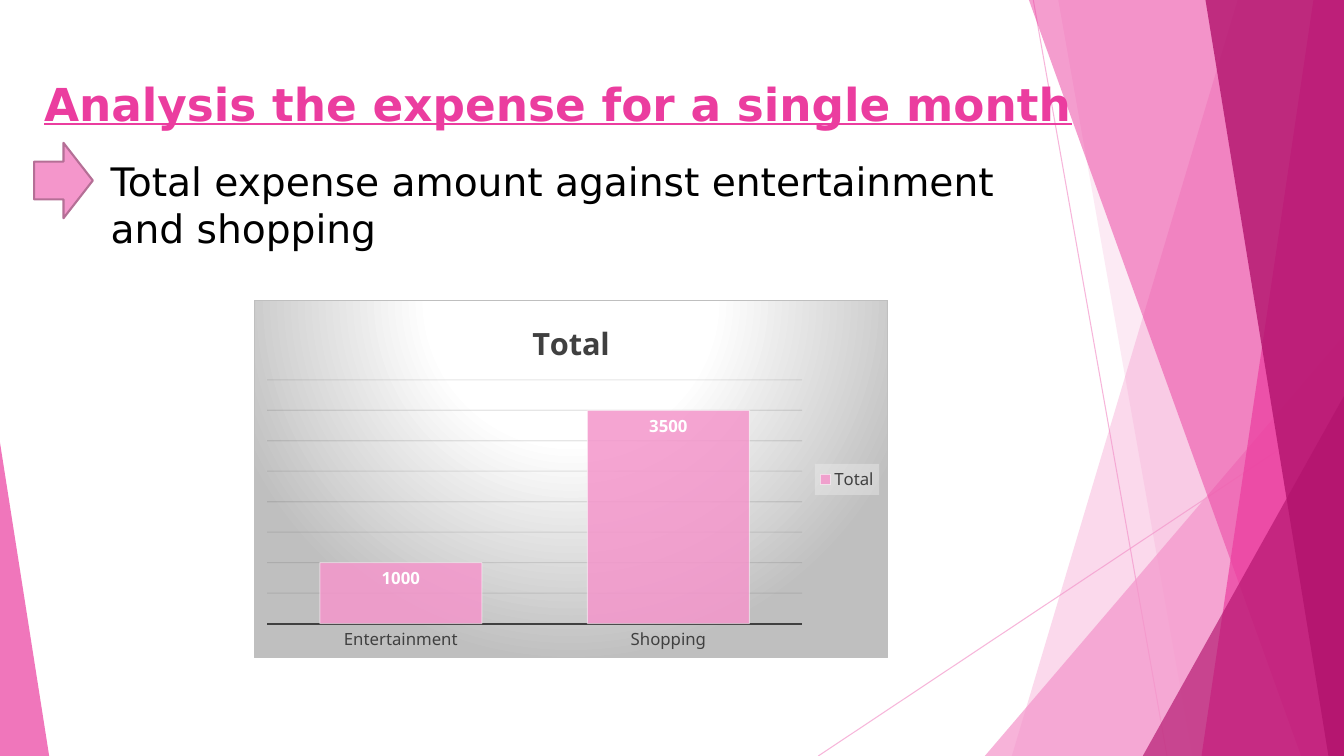
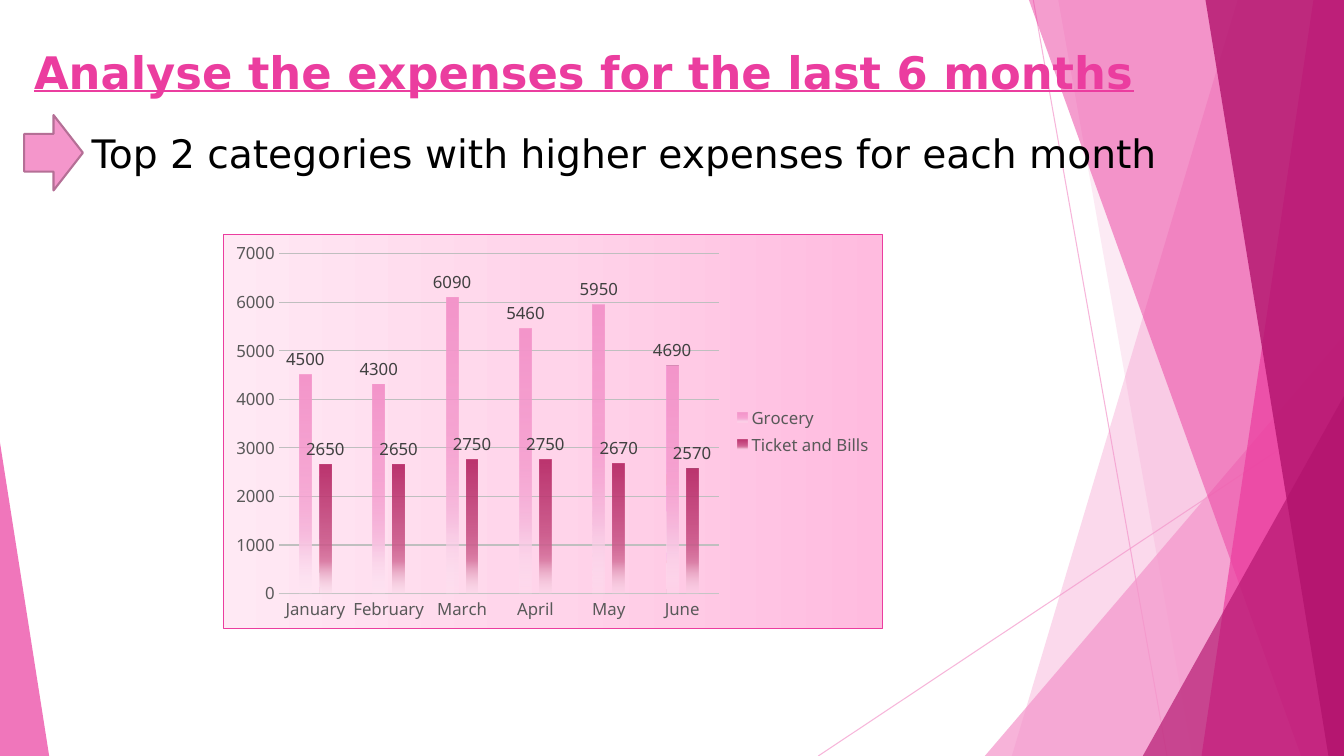
from lxml import etree
from pptx import Presentation
from pptx.chart.data import CategoryChartData
from pptx.dml.color import RGBColor
from pptx.enum.chart import XL_CHART_TYPE, XL_LABEL_POSITION, XL_LEGEND_POSITION, XL_TICK_MARK
from pptx.enum.shapes import MSO_CONNECTOR, MSO_SHAPE
from pptx.enum.text import MSO_ANCHOR
from pptx.oxml import parse_xml
from pptx.oxml.ns import nsdecls, qn
from pptx.util import Cm, Pt

COLUMNS = XL_CHART_TYPE.COLUMN_CLUSTERED
INSIDE_END = XL_LABEL_POSITION.INSIDE_END
OUTSIDE_END = XL_LABEL_POSITION.OUTSIDE_END
LEGEND_RIGHT = XL_LEGEND_POSITION.RIGHT
NO_TICK = XL_TICK_MARK.NONE
STRAIGHT = MSO_CONNECTOR.STRAIGHT
TRIANGLE = MSO_SHAPE.ISOSCELES_TRIANGLE
RIGHT_ARROW = MSO_SHAPE.RIGHT_ARROW
TOP, MIDDLE = MSO_ANCHOR.TOP, MSO_ANCHOR.MIDDLE

WIDTH, HEIGHT = 33.87, 19.05
PINK, HOT_PINK, BERRY = "F496CB", "EB3D9F", "B2136D"
ARROW_EDGE, BLACK, WHITE = "B56F96", "000000", "FFFFFF"
DARK_GREY, MID_GREY = "404040", "595959"
TEXT_FONT, CHART_FONT = "DejaVu Sans", "Noto Sans"

# Straight lines: start x, start y, end x, end y
RAYS = [(26.04, 0, 29.41, HEIGHT), (WIDTH, 10.24, 20.62, HEIGHT)]
# Panels reach the right edge: top x, bottom x, colour, opacity
BACK_PANELS = [(31.19, 25.5, PINK, 36), (26.67, 30.05, PINK, 20)]
FRONT_PANELS = [(25.93, 32.79, HOT_PINK, 50), (33.1, 30.28, HOT_PINK, 70),
                (30.38, 33.48, BERRY, 80)]


def rgb(value):
    return RGBColor.from_string(value)


def paint(fill, color, opacity=100):
    fill.solid()
    fill.fore_color.rgb = rgb(color)
    if opacity < 100:
        solid = fill._xPr.find(qn("a:solidFill"))
        etree.SubElement(solid[0], qn("a:alpha"), val=str(opacity * 1000))


def draw_line(line, color, width=0.75, opacity=100):
    paint(line.fill, color, opacity)
    line.width = Pt(width)


def set_font(font, size, color, bold=False, name=CHART_FONT):
    font.name, font.size, font.bold = name, Pt(size), bold
    font.color.rgb = rgb(color)


def gradient(stops, direction):
    """Gradient fill from (position, colour, opacity) stops."""
    marks = "".join(
        f'<a:gs pos="{position * 1000}"><a:srgbClr val="{color}">'
        f'<a:alpha val="{opacity * 1000}"/></a:srgbClr></a:gs>'
        for position, color, opacity in stops)
    return f'<a:gradFill {nsdecls("a")}><a:gsLst>{marks}</a:gsLst>{direction}</a:gradFill>'


def linear(angle):
    return f'<a:lin ang="{angle * 60000}" scaled="0"/>'


def column_fade(strong, soft, pale):
    stops = [(0, strong, 100), (51, strong, 75), (75, soft, 100), (100, pale, 15)]
    return gradient(stops, linear(90))


def add_backing(owner, fill, border=None):
    """Give a chart or legend element a fill and an optional border."""
    line = "<a:ln><a:noFill/></a:ln>"
    if border:
        line = (f'<a:ln w="{Pt(0.75)}"><a:solidFill><a:srgbClr val="{border}"/>'
                "</a:solidFill></a:ln>")
    backing = parse_xml(f'<c:spPr {nsdecls("c", "a")}>{fill}{line}</c:spPr>')
    owner.find(qn("c:txPr")).addprevious(backing)


class Slides:
    """Shared style and the slide being built."""

    def __init__(self):
        self.deck = Presentation()
        self.deck.slide_width, self.deck.slide_height = Cm(WIDTH), Cm(HEIGHT)
        self.page = None

    def new_page(self):
        self.page = self.deck.slides.add_slide(self.deck.slide_layouts[6])
        for ray in RAYS:
            self.ray(*ray)
        for panel in BACK_PANELS:
            self.panel(*panel)
        self.triangle(24.82, 8.46, WIDTH - 24.82, 1, PINK, 72)
        for panel in FRONT_PANELS:
            self.panel(*panel)
        self.triangle(28.8, 9.98, WIDTH - 28.8, 1, BERRY, 66)
        self.triangle(0, 11.15, 1.24, 0, HOT_PINK, 70)

    def ray(self, *ends):
        line = self.page.shapes.add_connector(STRAIGHT, *map(Cm, ends))
        draw_line(line.line, PINK, opacity=70)
        etree.SubElement(line._element.spPr, qn("a:effectLst"))

    def finish(self, shape, color, opacity=100):
        shape.shadow.inherit = False
        paint(shape.fill, color, opacity)
        shape.line.fill.background()

    def panel(self, top_x, bottom_x, color, opacity):
        builder = self.page.shapes.build_freeform(Cm(top_x), 0)
        corners = [(WIDTH, 0), (WIDTH, HEIGHT), (bottom_x, HEIGHT)]
        builder.add_line_segments([(Cm(x), Cm(y)) for x, y in corners])
        self.finish(builder.convert_to_shape(), color, opacity)

    def triangle(self, left, top, width, apex, color, opacity):
        shape = self.page.shapes.add_shape(
            TRIANGLE, Cm(left), Cm(top), Cm(width), Cm(HEIGHT - top))
        shape.adjustments[0] = apex
        self.finish(shape, color, opacity)

    def arrow(self, left, top):
        shape = self.page.shapes.add_shape(
            RIGHT_ARROW, Cm(left), Cm(top), Cm(1.48), Cm(1.9))
        self.finish(shape, PINK)
        draw_line(shape.line, ARROW_EDGE, 1.5)

    def text(self, words, place, size, color, anchor, heading=False):
        box = self.page.shapes.add_textbox(*map(Cm, place))
        frame = box.text_frame
        frame.word_wrap = True
        frame.vertical_anchor = anchor
        span = frame.paragraphs[0].add_run()
        span.text = words
        set_font(span.font, size, color, heading, TEXT_FONT)
        span.font.underline = heading

    def title(self, words, left, top, width, size=32):
        self.text(words, (left, top, width, 2.13), size, HOT_PINK, TOP, True)

    def subtitle(self, words, left, top, width, height):
        self.text(words, (left, top, width, height), 28, BLACK, MIDDLE)

    def chart(self, place, categories, series, gap, top_value, step, grid,
              axis_line, text_color, backing, border):
        """Column chart; returned so that a slide can add its own details."""
        data = CategoryChartData()
        data.categories = categories
        for name, values in series:
            data.add_series(name, values)
        chart = self.page.shapes.add_chart(COLUMNS, *map(Cm, place), data).chart
        chart.has_title = False
        set_font(chart.font, 10, BLACK)
        add_backing(chart._chartSpace, backing, border)

        plot = chart.plots[0]
        plot.gap_width, plot.vary_by_categories = gap, False

        chart.has_legend = True
        chart.legend.position = LEGEND_RIGHT
        chart.legend.include_in_layout = False
        set_font(chart.legend.font, 12, text_color)

        for axis in (chart.category_axis, chart.value_axis):
            axis.major_tick_mark = axis.minor_tick_mark = NO_TICK
            set_font(axis.tick_labels.font, 12, text_color)
        draw_line(chart.category_axis.format.line, *axis_line)
        values_axis = chart.value_axis
        values_axis.minimum_scale, values_axis.maximum_scale = 0, top_value
        values_axis.major_unit = step
        values_axis.has_major_gridlines = True
        values_axis.format.line.fill.background()
        draw_line(values_axis.major_gridlines.format.line, *grid)
        return chart

    def value_labels(self, series, position, color, bold=False):
        labels = series.data_labels
        labels.show_value, labels.position = True, position
        set_font(labels.font, 12, color, bold)


def single_month(slides):
    slides.new_page()
    slides.title("Analysis the expense for a single month", 0.86, 1.8, 26.67, 32.4)
    slides.arrow(0.86, 3.6)
    slides.subtitle("Total expense amount against entertainment and shopping",
                    2.54, 2.24, 23.9, 5.8)
    spotlight = gradient(
        [(0, WHITE, 100), (39, WHITE, 100), (100, "BFBFBF", 100)],
        '<a:path path="circle"><a:fillToRect l="50000" t="-80000" r="50000" '
        'b="180000"/></a:path>')
    chart = slides.chart(
        (6.4, 7.57, 15.98, 9.02), ["Entertainment", "Shopping"],
        [("Total", [1000, 3500])], gap=65, top_value=4000, step=500,
        grid=("0D0D0D", 0.75, 10), axis_line=(DARK_GREY, 1.5),
        text_color=DARK_GREY, backing=spotlight, border="BFBFBF")
    chart.value_axis.visible = False

    chart.has_title = True
    span = chart.chart_title.text_frame.paragraphs[0].add_run()
    span.text = "Total"
    set_font(span.font, 22, DARK_GREY, True)

    add_backing(chart.legend._element,
                '<a:solidFill><a:srgbClr val="F2F2F2"><a:alpha val="39000"/>'
                "</a:srgbClr></a:solidFill>")
    total = chart.plots[0].series[0]
    paint(total.format.fill, PINK, 85)
    draw_line(total.format.line, WHITE, opacity=50)
    slides.value_labels(total, INSIDE_END, WHITE, True)


def six_months(slides):
    slides.new_page()
    slides.title("Analyse the expenses for the last 6 months", 0.61, 0.99, 30.86)
    slides.arrow(0.61, 2.9)
    slides.subtitle("Top 2 categories with higher expenses for each month",
                    2.06, 2.24, 28.5, 3.2)
    blush = gradient([(0, "FFBBDF", 100), (50, "FFD4EA", 100), (100, "FFE9F4", 100)],
                     linear(180))
    chart = slides.chart(
        (5.61, 5.89, 16.64, 9.96),
        ["January", "February", "March", "April", "May", "June"],
        [("Grocery", [4500, 4300, 6090, 5460, 5950, 4690]),
         ("Ticket and Bills", [2650, 2650, 2750, 2750, 2670, 2570])],
        gap=355, top_value=7000, step=1000, grid=("BFBFBF",),
        axis_line=("D9D9D9", 0.75, 25), text_color=MID_GREY,
        backing=blush, border=HOT_PINK)
    chart.plots[0].overlap = -70
    fades = [column_fade(PINK, "F8C0E0", "FDEAF5"),
             column_fade("BC356F", "DC81A8", "F3D5E2")]
    for series, fade in zip(chart.plots[0].series, fades):
        series.format.line.fill.background()
        series._element.get_or_add_spPr().insert(0, parse_xml(fade))
        slides.value_labels(series, OUTSIDE_END, DARK_GREY)


def main():
    slides = Slides()
    single_month(slides)
    six_months(slides)
    slides.deck.save("out.pptx")


if __name__ == "__main__":
    main()
